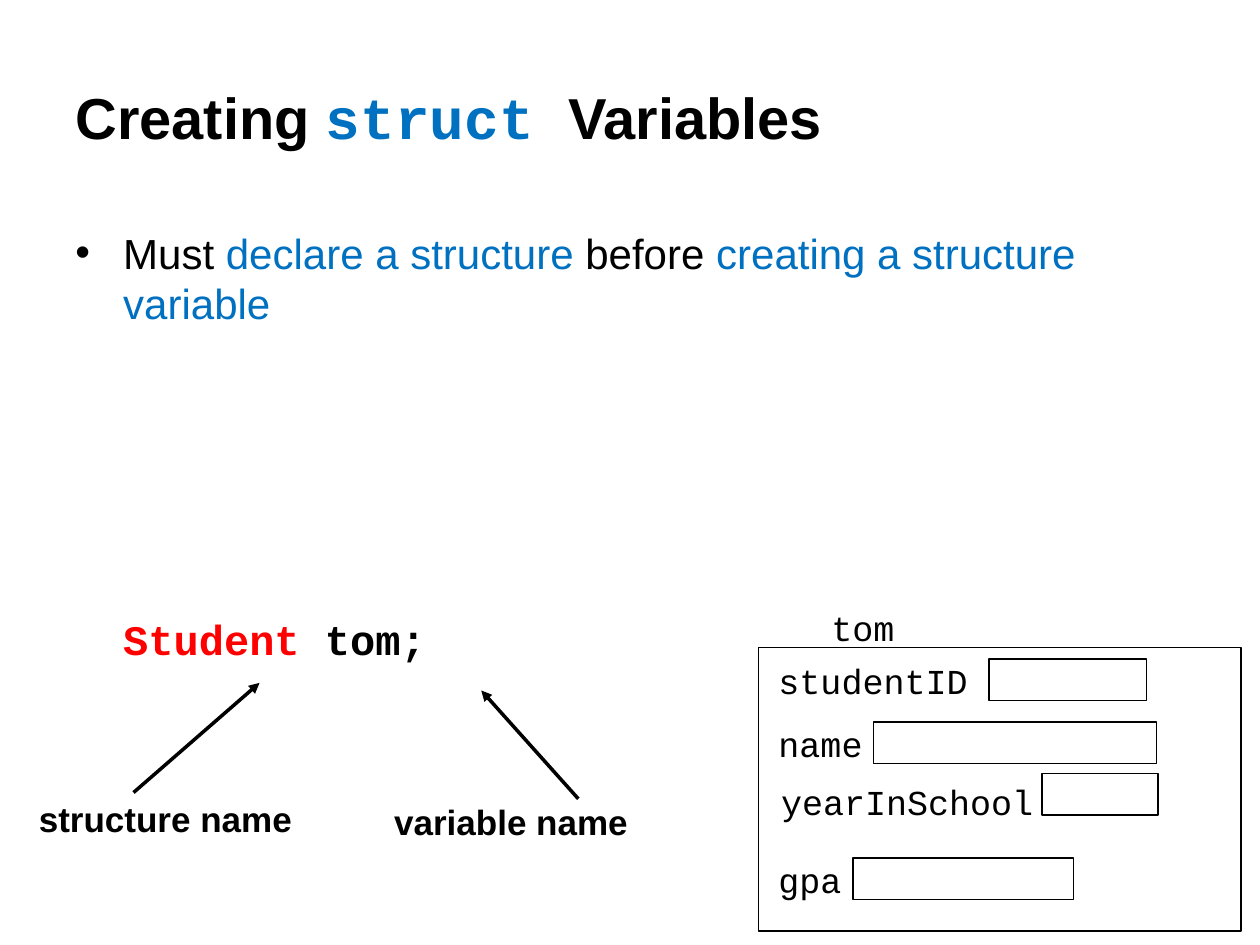
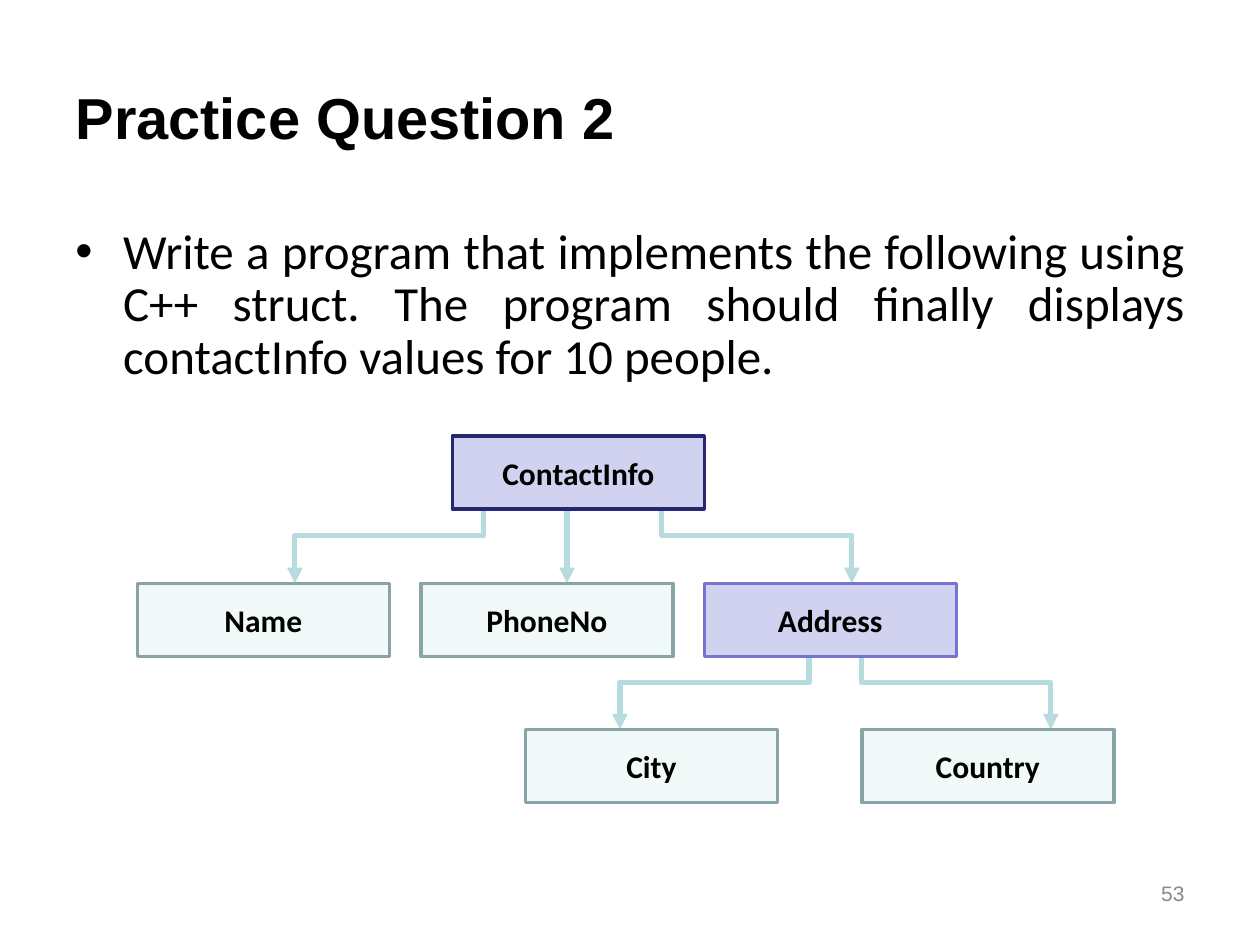
import pptx
import pptx.dml.color
import pptx.enum.shapes
import pptx.enum.text
import pptx.oxml
import pptx.oxml.ns
import pptx.util
from lxml import etree

SCALE = 9144  # EMU in one px, 100 px to the inch
SANS, MONO, BODY = "Arial", "Courier New", "Calibri"
BLACK, BLUE, RED, GREY = "000000", "0070C0", "FF0000", "898989"
PALE, TEAL, SKY = "F1F9F9", "89A4A7", "B6DCDF"
LILAC, VIOLET, NAVY = "D1D1F0", "7575D1", "262673"
ALIGN = pptx.enum.text.PP_ALIGN
ANCHOR = pptx.enum.text.MSO_ANCHOR
FIT = pptx.enum.text.MSO_AUTO_SIZE
LINK = pptx.enum.shapes.MSO_CONNECTOR
RECT = pptx.enum.shapes.MSO_SHAPE.RECTANGLE


def px(*sizes):
    return [pptx.util.Emu(round(size * SCALE)) for size in sizes]


def rgb(code):
    return pptx.dml.color.RGBColor.from_string(code)


def child(node, tag, **attrs):
    """Append a drawing element to node."""
    return etree.SubElement(node, pptx.oxml.ns.qn(tag), **attrs)


class Deck:
    """Holds the text style and the slide being built."""

    def __init__(self):
        self.show = pptx.Presentation()
        self.show.slide_width, self.show.slide_height = px(1000, 750)
        self.slide = None

    def style(self, run, size, font=SANS, color=BLACK, bold=False):
        run.font.size = pptx.util.Pt(size)
        run.font.name = font
        run.font.bold = bold
        run.font.color.rgb = rgb(color)

    def fill_para(self, para, parts, size, bold=False):
        """Add runs given as (text, colour, font)."""
        for text, color, font in parts:
            run = para.add_run()
            run.text = text
            self.style(run, size, font, color, bold)

    def page(self, *parts):
        """Start a slide whose title is made of parts."""
        self.slide = self.show.slides.add_slide(self.show.slide_layouts[5])
        title = self.slide.shapes.title
        title.left, title.top, title.width, title.height = px(50, 30, 900, 125)
        frame = title.text_frame
        frame.auto_size = FIT.NONE
        frame.vertical_anchor = ANCHOR.MIDDLE
        para = frame.paragraphs[0]
        para.alignment = ALIGN.LEFT
        self.fill_para(para, parts, 33, True)

    def body(self, parts, size, space, align=ALIGN.LEFT):
        """Add the body box with one bullet, and return its frame."""
        frame = self.slide.shapes.add_textbox(*px(50, 175, 900, 495)).text_frame
        frame.word_wrap = True
        para = frame.paragraphs[0]
        para.alignment = align
        para.line_spacing = space
        self.fill_para(para, parts, size)
        props = self.indent(para, -38)
        child(child(props, "a:buClr"), "a:srgbClr", val=BLACK)
        child(props, "a:buFont", typeface=SANS)
        child(props, "a:buChar", char="•")
        return frame

    def indent(self, para, first):
        props = para._p.get_or_add_pPr()
        props.set("marL", str(38 * SCALE))
        props.set("indent", str(first * SCALE))
        return props

    def code(self, frame, parts, gap):
        """Add a line of code, gap points below the text above."""
        para = frame.add_paragraph()
        para.space_before = pptx.util.Pt(gap)
        self.fill_para(para, parts, 24, True)
        self.indent(para, 0)

    def label(self, text, box, size=20, font=MONO, color=BLACK, bold=False,
              align=ALIGN.LEFT):
        frame = self.slide.shapes.add_textbox(*px(*box)).text_frame
        frame.text = text
        frame.word_wrap = True
        frame.vertical_anchor = ANCHOR.MIDDLE
        para = frame.paragraphs[0]
        para.alignment = align
        self.style(para.runs[0], size, font, color, bold)

    def rect(self, box, line=BLACK, width=0.75, fill=None):
        shape = self.slide.shapes.add_shape(RECT, *px(*box))
        shape.shadow.inherit = False
        shape.line.color.rgb = rgb(line)
        shape.line.width = pptx.util.Pt(width)
        if fill:
            shape.fill.solid()
            shape.fill.fore_color.rgb = rgb(fill)
        else:
            shape.fill.background()
        return shape

    def node(self, text, left, top, fill=PALE, line=TEAL):
        """Add a captioned box of the tree."""
        frame = self.rect((left, top, 200, 58), line, 2, fill).text_frame
        frame.text = text
        frame.vertical_anchor = ANCHOR.MIDDLE
        para = frame.paragraphs[0]
        para.alignment = ALIGN.CENTER
        self.style(para.runs[0], 18, BODY, bold=True)

    def arrow(self, start, end, color=BLACK, width=2, kind=LINK.STRAIGHT):
        line = self.slide.shapes.add_connector(kind, *px(*start, *end))
        line.line.color.rgb = rgb(color)
        line.line.width = pptx.util.Pt(width)
        child(line.line._get_or_add_ln(), "a:tailEnd", type="triangle")
        child(line.element.spPr, "a:effectLst")
        return line

    def branch(self, start, end):
        """Link down from start to end, bending halfway."""
        (x1, y1), (x2, y2) = start, end
        if x1 == x2:
            self.arrow(start, end, SKY, 3)
            return
        # An elbow runs sideways first, so lay it flat and turn it upright.
        midx, midy = (x1 + x2) / 2, (y1 + y2) / 2
        long, wide = (y2 - y1) / 2, abs(x2 - x1) / 2
        side = 1 if x2 > x1 else -1
        line = self.arrow((midx + side * long, midy - wide),
                          (midx - side * long, midy + wide),
                          SKY, 3, LINK.ELBOW)
        turn = 270 if side > 0 else 90
        line.element.spPr.find(pptx.oxml.ns.qn("a:xfrm")).set(
            "rot", str(turn * 60000))


def struct_page(deck):
    deck.page(("Creating ", BLACK, SANS), ("struct ", BLUE, MONO),
              ("Variables", BLACK, SANS))
    frame = deck.body([("Must ", BLACK, SANS),
                       ("declare a structure ", BLUE, SANS),
                       ("before ", BLACK, SANS),
                       ("creating a structure variable", BLUE, SANS)],
                      24, pptx.util.Pt(29))
    deck.code(frame, [("Student", RED, MONO), (" tom;", BLACK, MONO)], 163)

    deck.rect((602, 514, 383, 225))
    deck.label("tom", (650, 476, 75, 44))
    fields = [("studentID", (608, 518, 175), (785, 523, 125)),
              ("name", (608, 568, 92), (693, 573, 225)),
              ("yearInSchool", (610, 614, 225), (827, 614, 92)),
              ("gpa", (608, 676, 75), (677, 681, 175))]
    for name, text, slot in fields:
        deck.label(name, (*text, 44))
        deck.rect((*slot, 33))

    parts = [("structure name", (21, 628), (106, 629), (206, 542)),
             ("variable name", (303, 630), (459, 634), (382, 548))]
    for name, spot, start, end in parts:
        deck.label(name, (*spot, 297, 44), font=SANS, bold=True)
        deck.arrow(start, end)


def tree_page(deck):
    deck.page(("Practice Question 2", BLACK, SANS))
    deck.body([("Write a program that implements the following using C++ "
                "struct. The program should finally displays contactInfo "
                "values for 10 people.", BLACK, BODY)],
              28, 0.9, ALIGN.JUSTIFY)
    deck.label("53", (717, 683, 233, 52), 12, SANS, GREY, align=ALIGN.RIGHT)

    rows = [346, 463, 579]
    links = [(0, 384, 234), (0, 450, 450), (0, 525, 676),
             (1, 642, 492), (1, 684, 834)]
    for row, x1, x2 in links:
        deck.branch((x1, rows[row] + 41), (x2, rows[row + 1]))
    deck.node("ContactInfo", 359, rows[0], LILAC, NAVY)
    deck.node("Name", 109, rows[1])
    deck.node("PhoneNo", 334, rows[1])
    deck.node("Address", 559, rows[1], LILAC, VIOLET)
    deck.node("City", 417, rows[2])
    deck.node("Country", 684, rows[2])


def main():
    deck = Deck()
    struct_page(deck)
    tree_page(deck)
    deck.show.save("out.pptx")


if __name__ == "__main__":
    main()
